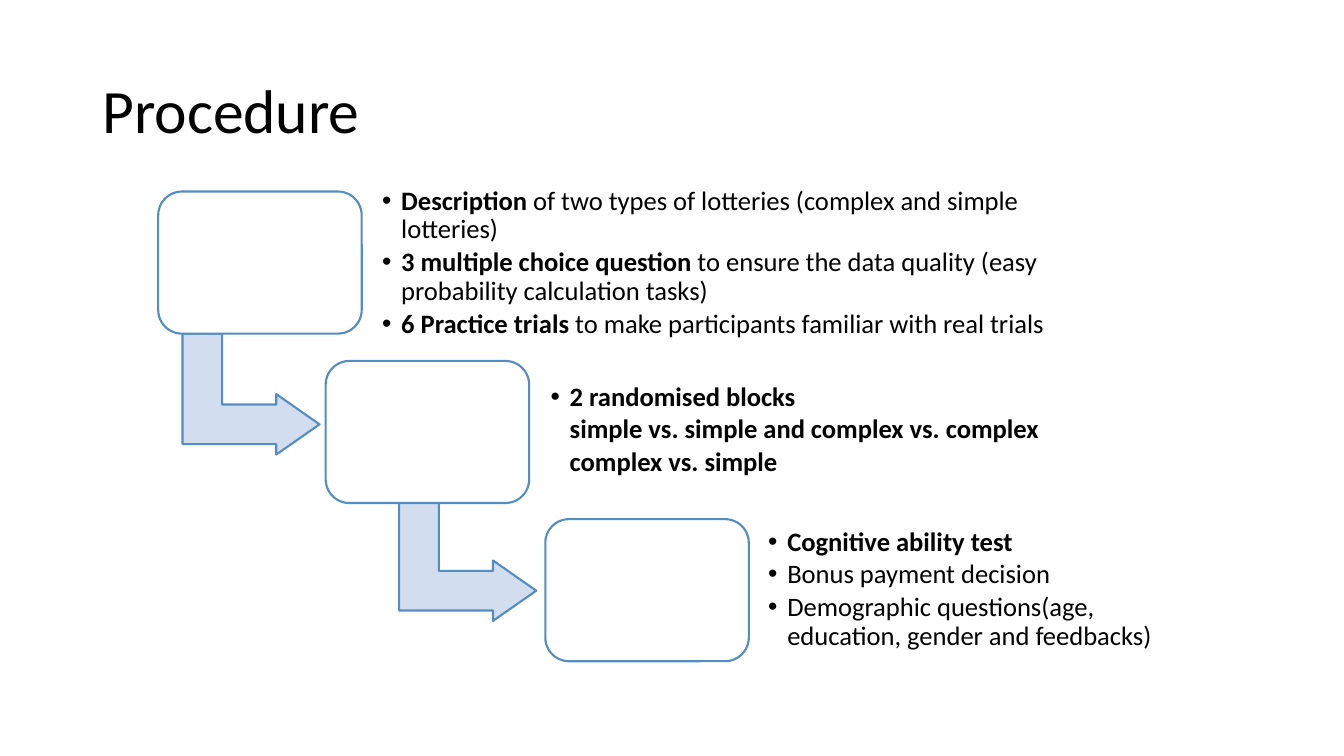
"""Build the Procedure slide: three experiment stages stepping down to the right."""
from lxml.etree import SubElement
from pptx import Presentation
from pptx.dml.color import RGBColor
from pptx.enum.shapes import MSO_SHAPE
from pptx.enum.text import MSO_ANCHOR
from pptx.oxml.ns import qn
from pptx.util import Pt

STAGE_WIDTH, STAGE_HEIGHT = 145.4, 101.5
ARROW_WIDTH, ARROW_HEIGHT = 86.4, 97.9
DETAILS_HEIGHT = 82.1
HANG = 13.7


def add_text(paragraph, text, size=19, bold=False, color="000000"):
    run = paragraph.add_run()
    run.text = text
    run.font.name = "Calibri"
    run.font.size = Pt(size)
    run.font.bold = bold
    run.font.color.rgb = RGBColor.from_string(color)


def add_outlined(kind, left, top, width, height, fill, adjustments):
    shape = slide.shapes.add_shape(kind, Pt(left), Pt(top), Pt(width), Pt(height))
    shape.shadow.inherit = False
    shape.fill.solid()
    shape.fill.fore_color.rgb = RGBColor.from_string(fill)
    shape.line.color.rgb = RGBColor.from_string("538DC1")
    shape.line.width = Pt(1.5)
    for index, value in enumerate(adjustments):
        shape.adjustments[index] = value
    return shape


presentation = Presentation()
presentation.slide_width, presentation.slide_height = Pt(960), Pt(540)
slide = presentation.slides.add_slide(presentation.slide_layouts[6])

heading = slide.shapes.add_textbox(Pt(66), Pt(28.8), Pt(828), Pt(104.4)).text_frame
heading.word_wrap = True
heading.vertical_anchor = MSO_ANCHOR.MIDDLE
heading.paragraphs[0].line_spacing = 0.9
add_text(heading.paragraphs[0], "Procedure", size=44)

# Each detail is (level, bold part, plain part).
stages = [
    (113, 136.8, (136.1, 232.6), (267.1, 146.9, 489.6), [
        (1, "Description", " of two types of lotteries (complex and simple lotteries)"),
        (1, "3 multiple choice question ",
         "to ensure the data quality (easy probability calculation tasks)"),
        (1, "6 Practice trials ", "to make participants familiar with real trials"),
    ]),
    (232.6, 257.8, (290.9, 351.4), (387.4, 266.4, 375.8), [
        (1, "2 randomised blocks", ""),
        (2, "simple vs. simple and complex vs. complex", ""),
        (2, "complex vs. simple", ""),
    ]),
    (389.5, 370.8, None, (542.9, 380.2, 319.7), [
        (1, "Cognitive ability test", ""),
        (1, "", "Bonus payment decision"),
        (1, "", "Demographic questions(age, education, gender and feedbacks)"),
    ]),
]

for left, top, arrow_place, details_place, details in stages:
    if arrow_place:
        arrow = add_outlined(MSO_SHAPE.BENT_UP_ARROW, *arrow_place, ARROW_WIDTH,
                             ARROW_HEIGHT, "D2DEEF", (0.328, 0.25, 0.358))
        arrow.rotation = 90
    add_outlined(MSO_SHAPE.ROUNDED_RECTANGLE, left, top, STAGE_WIDTH,
                 STAGE_HEIGHT, "FFFFFF", (0.167,))

    details_left, details_top, details_width = details_place
    frame = slide.shapes.add_textbox(Pt(details_left), Pt(details_top),
                                     Pt(details_width), Pt(DETAILS_HEIGHT)).text_frame
    frame.word_wrap = True
    frame.vertical_anchor = MSO_ANCHOR.MIDDLE
    frame.margin_left = frame.margin_right = Pt(5.8)
    frame.margin_top = frame.margin_bottom = Pt(5.8)
    for index, (level, strong, plain) in enumerate(details):
        paragraph = frame.add_paragraph() if index else frame.paragraphs[0]
        paragraph.level = level
        paragraph.line_spacing = 0.9
        paragraph.space_after = Pt(2.85)
        properties = paragraph._p.get_or_add_pPr()
        properties.set("marL", str(Pt(HANG * level)))
        properties.set("indent", str(Pt(-HANG)))
        if level == 1:
            SubElement(properties, qn("a:buFont")).set("typeface", "Arial")
            SubElement(properties, qn("a:buChar")).set("char", "•")
        else:
            SubElement(properties, qn("a:buNone"))
        for text, bold in ((strong, True), (plain, False)):
            if text:
                add_text(paragraph, text, bold=bold)

presentation.save("out.pptx")
